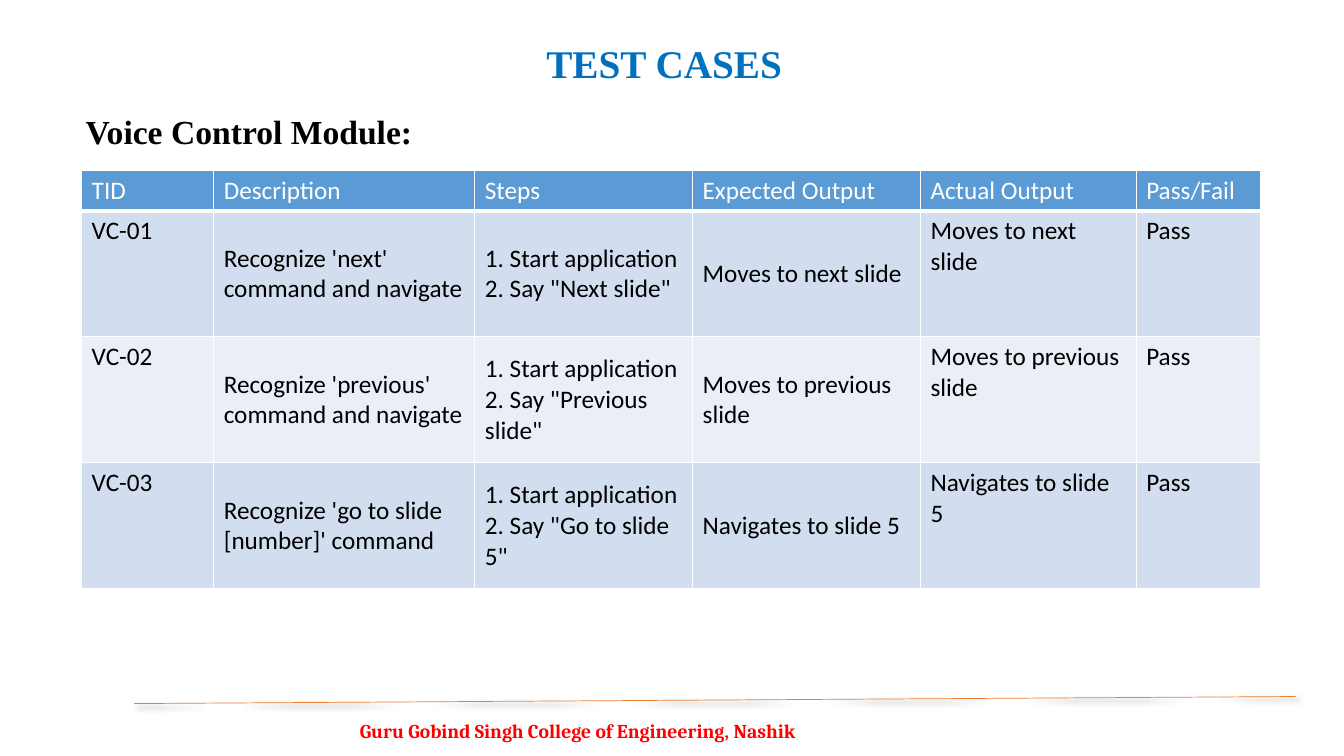
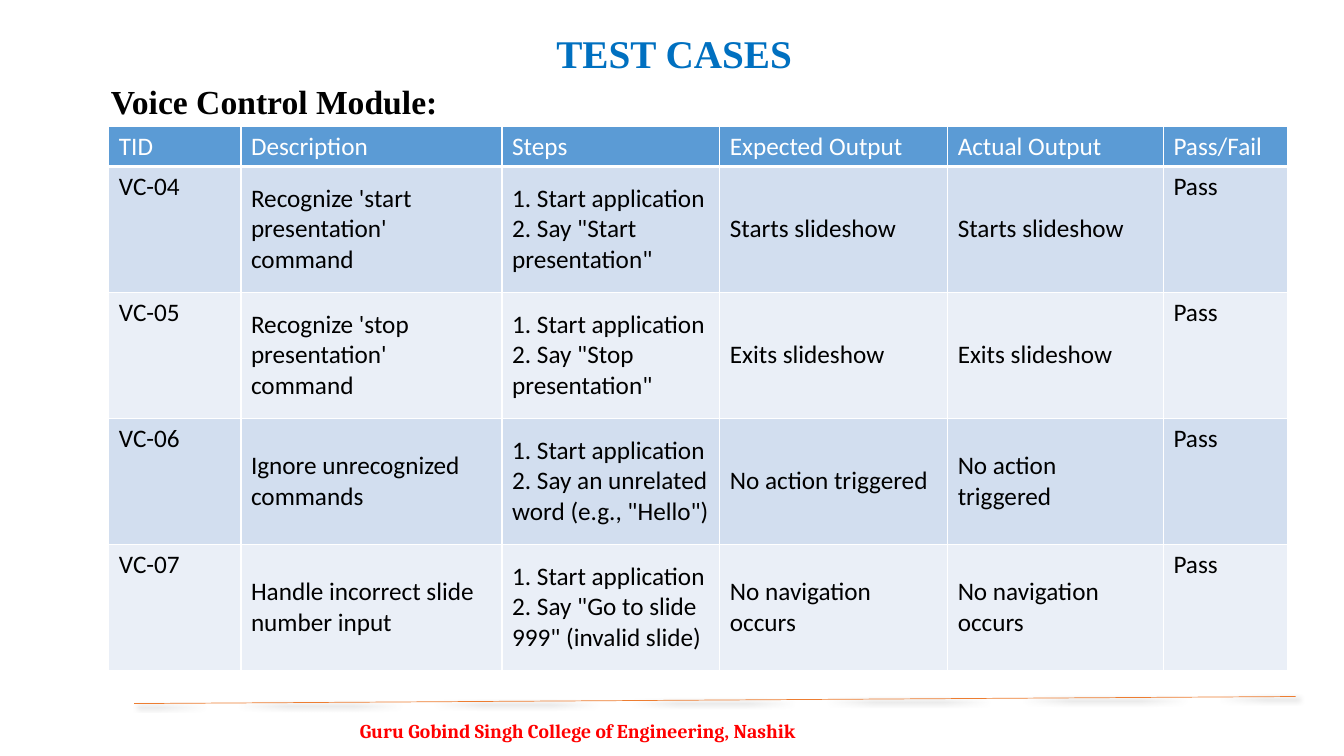
from lxml import etree
from pptx import Presentation
from pptx.dml.color import RGBColor
from pptx.enum.shapes import MSO_CONNECTOR as Link
from pptx.enum.text import MSO_ANCHOR as Anchor
from pptx.oxml import parse_xml
from pptx.oxml.ns import nsdecls, qn
from pptx.util import Inches, Pt

TITLE = "TEST CASES"
MODULE = "Voice Control Module:"
FOOTER = "Guru Gobind Singh College of Engineering, Nashik"
HEADS = ["TID", "Description", "Steps", "Expected Output", "Actual Output", "Pass/Fail"]
COLS = [1.31, 2.59, 2.16, 2.26, 2.14, 1.23]
HEAD_H, ROW_H = 0.4, 1.25
BLUE, RED, ORANGE = "0070C0", "FF0000", "ED7D31"
BLACK, WHITE, HEAD = "000000", "FFFFFF", "5B9BD5"
BANDS = ["D2DEEF", "EAEFF7"]
SERIF = "Times New Roman"

START = "1. Start application "
SLIDES = [
    {
        "title": (5.32, 0.34), "module": (0.75, 1.05), "table": (0.81, 1.69),
        "middle": {1, 2, 3},
        "cases": [
            ("VC-01", "Recognize 'next' command and navigate",
             '2. Say "Next slide"', "Moves to next slide"),
            ("VC-02", "Recognize 'previous' command and navigate",
             '2. Say "Previous slide"', "Moves to previous slide"),
            ("VC-03", "Recognize 'go to slide [number]' command",
             '2. Say "Go to slide 5"', "Navigates to slide 5"),
        ],
    },
    {
        "title": (5.42, 0.24), "module": (1, 0.75), "table": (1.08, 1.25),
        "middle": {1, 2, 3, 4},
        "cases": [
            ("VC-04", "Recognize 'start presentation' command",
             '2. Say "Start presentation"', "Starts slideshow"),
            ("VC-05", "Recognize 'stop presentation' command",
             '2. Say "Stop presentation"', "Exits slideshow"),
            ("VC-06", "Ignore unrecognized commands",
             '2. Say an unrelated word (e.g., "Hello")', "No action triggered"),
            ("VC-07", "Handle incorrect slide number input",
             '2. Say "Go to slide 999" (invalid slide)', "No navigation occurs"),
        ],
    },
]


def color(code):
    return RGBColor.from_string(code)


def style(para, face, size, code, bold):
    for run in para.runs:
        font = run.font
        font.name, font.size, font.bold = face, Pt(size), bold
        font.color.rgb = color(code)


def add_text(slide, text, spot, size, face, points, code):
    box = slide.shapes.add_textbox(*map(Inches, spot + size))
    frame = box.text_frame
    frame.word_wrap = True
    frame.text = text
    style(frame.paragraphs[0], face, points, code, True)


def add_footer(slide):
    add_text(slide, FOOTER, (3.47, 7.08), (5.83, 0.42), "Cambria", 14, RED)
    rule = slide.shapes.add_connector(
        Link.STRAIGHT, *map(Inches, (1.33, 6.98, 12.85, 6.91)))
    rule.line.color.rgb = color(ORANGE)
    rule.line.width = Pt(0.5)
    effects = etree.SubElement(rule._element.spPr, qn("a:effectLst"))
    effects.append(parse_xml(
        f'<a:outerShdw {nsdecls("a")} blurRad="{Pt(4)}" dist="{Pt(3)}" '
        f'dir="2700000" algn="tl" rotWithShape="0"><a:srgbClr val="{BLACK}">'
        '<a:alpha val="40000"/></a:srgbClr></a:outerShdw>'))


def set_edges(cell, base):
    props = cell._tc.get_or_add_tcPr()
    for side, width in (("L", 1), ("R", 1), ("T", 1), ("B", base)):
        props.append(parse_xml(
            f'<a:ln{side} {nsdecls("a")} w="{Pt(width)}"><a:solidFill>'
            f'<a:srgbClr val="{WHITE}"/></a:solidFill></a:ln{side}>'))


def set_cell(cell, text, fill, ink, base, anchor):
    set_edges(cell, base)
    cell.fill.solid()
    cell.fill.fore_color.rgb = color(fill)
    cell.vertical_anchor = anchor
    cell.text_frame.text = text
    style(cell.text_frame.paragraphs[0], "Calibri", 18, ink, False)


def add_cases(slide, spot, cases, middle):
    rows = [HEADS] + [
        (tid, goal, START + step, result, result, "Pass")
        for tid, goal, step, result in cases]
    size = (sum(COLS), HEAD_H + ROW_H * len(cases))
    table = slide.shapes.add_table(
        len(rows), len(COLS), *map(Inches, spot + size)).table
    for col, width in zip(table.columns, COLS):
        col.width = Inches(width)
    for r, row in enumerate(rows):
        table.rows[r].height = Inches(ROW_H if r else HEAD_H)
        fill, ink, base = (BANDS[(r - 1) % 2], BLACK, 1) if r else (HEAD, WHITE, 3)
        for c, text in enumerate(row):
            anchor = Anchor.MIDDLE if r and c in middle else Anchor.TOP
            set_cell(table.cell(r, c), text, fill, ink, base, anchor)


def main():
    deck = Presentation()
    deck.slide_width, deck.slide_height = Inches(13.33), Inches(7.5)
    for page in SLIDES:
        slide = deck.slides.add_slide(deck.slide_layouts[6])
        add_footer(slide)
        add_text(slide, TITLE, page["title"], (5.01, 0.57), SERIF, 28, BLUE)
        add_text(slide, MODULE, page["module"], (10.09, 0.5), SERIF, 24, BLACK)
        add_cases(slide, page["table"], page["cases"], page["middle"])
    deck.save("out.pptx")


if __name__ == "__main__":
    main()
